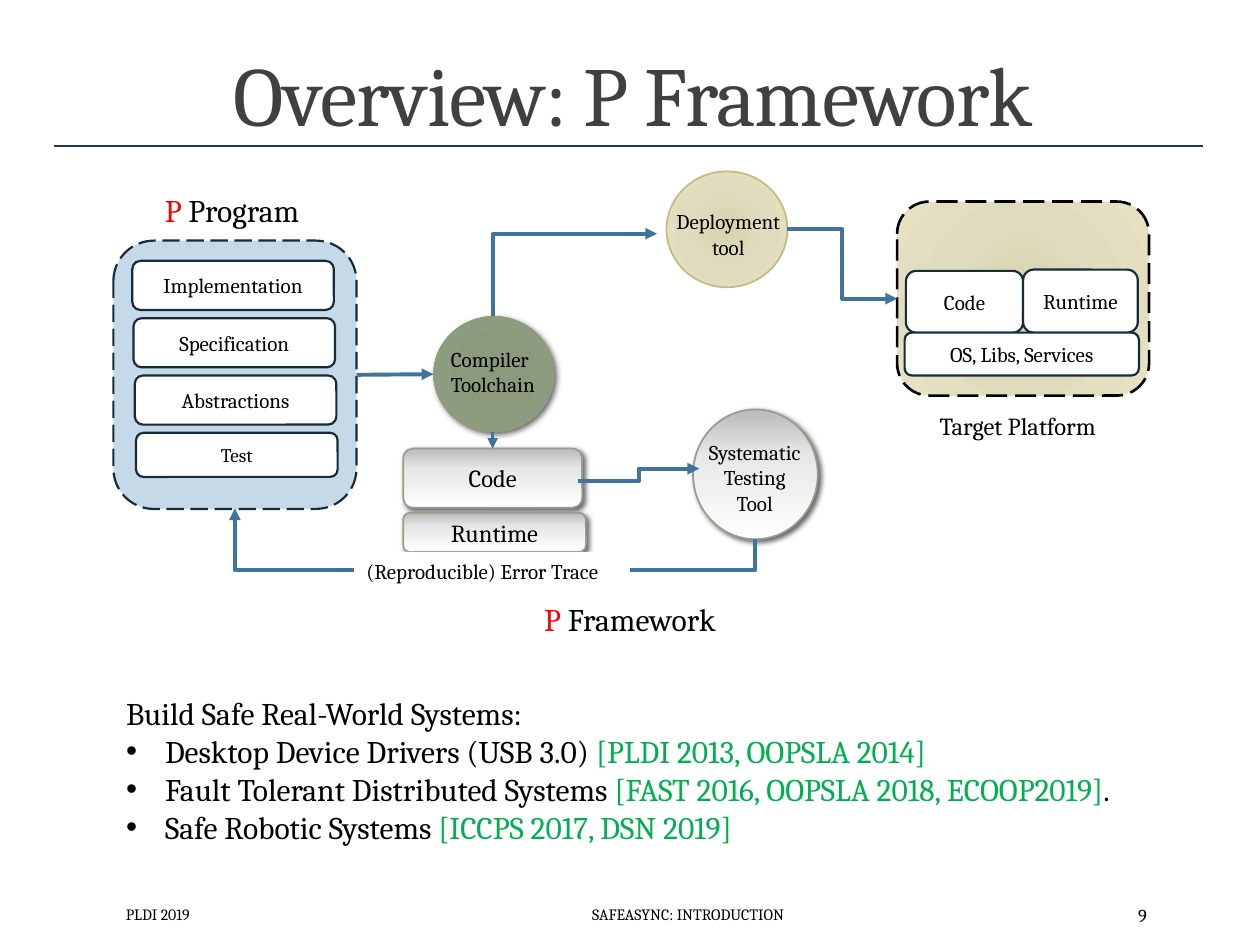
"""Build the P Framework overview slide."""
from lxml.etree import SubElement
from pptx import Presentation
from pptx.dml.color import RGBColor
from pptx.enum.dml import MSO_LINE
from pptx.enum.shapes import MSO_CONNECTOR as Connector, MSO_SHAPE as Preset
from pptx.enum.text import MSO_ANCHOR as Anchor, MSO_AUTO_SIZE as AutoSize, PP_ALIGN as Align
from pptx.oxml.ns import qn
from pptx.util import Inches, Pt

FONT = "Cambria"
COLORS = {
    "black": "000000", "white": "FFFFFF", "title": "404040", "rule": "1F394D",
    "red": "FF0000", "green": "00B050", "arrow": "40749B", "navy": "172B3A",
    "program": "C6D9E8", "sage": "94A088", "sand": "C2BC80",
}
GRADIENTS = {
    "olive": ((0, "8A987B"), (34, "8B997D"), (70, "8D9C7E"), (100, "94A187")),
    "tan": ((0, "D7D3AF"), (45, "DFDBBD"), (100, "E5E1C1")),
    "silver": ((0, "FEFEFE"), (65, "E7E7E7"), (100, "B9B9B9")),
}
STYLES = {
    "program": {"fill": "program", "line": "navy", "width": 1.25, "dashed": True},
    "card": {"fill": "white", "line": "navy", "width": 1.25},
    "compiler": {"fill": "olive", "shadow": 3.5},
    "deployment": {"fill": "tan", "line": "sand", "width": 1},
    "target": {"fill": "tan", "line": "black", "width": 1.5, "dashed": True},
    "silver": {"fill": "silver", "line": "sage", "width": 1, "shadow": 3},
}
PARTS = [("Implementation", 0.39, 12), ("Specification", 0.39, 12),
         ("Abstractions", 0.39, 12), ("Test", 0.35, 11)]
NODES = [
    ("program", Preset.ROUNDED_RECTANGLE, (0.9, 1.91, 1.93, 2.13), "program", "", 12),
    ("compiler", Preset.OVAL, (3.44, 2.51, 0.96, 0.92), "compiler", "", 12),
    ("deployment", Preset.OVAL, (5.29, 1.36, 0.96, 0.92), "deployment", "", 12),
    ("tester", Preset.OVAL, (5.5, 3.25, 0.99, 1.03), "silver", "", 12),
    ("target", Preset.ROUNDED_RECTANGLE, (7.12, 1.6, 2, 1.54), "target", "", 12),
    ("target code", Preset.ROUNDED_RECTANGLE, (7.19, 2.15, 0.93, 0.49), "card", "Code", 12),
    ("target runtime", Preset.ROUNDED_RECTANGLE, (8.12, 2.14, 0.91, 0.5), "card", "Runtime", 12),
    ("services", Preset.ROUNDED_RECTANGLE, (7.18, 2.64, 1.86, 0.34), "card",
     "OS, Libs, Services", 12),
    ("code", Preset.ROUNDED_RECTANGLE, (3.2, 3.56, 1.42, 0.47), "silver", "Code", 14),
    ("runtime", Preset.ROUNDED_RECTANGLE, (3.2, 4.07, 1.45, 0.31), "silver", "Runtime", 14),
]
NODES += [(name.lower(), Preset.ROUNDED_RECTANGLE,
           (1.05 + 0.01 * row, 2.07 + 0.455 * row, 1.6, height), "card", name, size)
          for row, (name, height, size) in enumerate(PARTS)]
ARROWS = [
    {"kind": Connector.STRAIGHT, "ends": (2.83, 2.97, 3.44, 2.97), "begin": ("program", 3)},
    {"kind": Connector.STRAIGHT, "ends": (3.91, 3.43, 3.91, 3.56), "end": ("code", 0),
     "width": 1.5},
    {"ends": (4.59, 3.82, 5.55, 3.72)},
    {"ends": (6.25, 1.82, 7.12, 2.37), "end": ("target", 1)},
    {"ends": (4.05, 2.09, 3.81, 6.22), "turned": True, "bend": -104600},
    {"ends": (4.89, 2.83, 4.24, 1.53), "turned": True, "preset": "bentConnector2"},
]
LABELS = [
    ((4.22, 4.71, 1.68, 0.4), Align.LEFT, 18, [[("P", "red"), (" Framework", "black")]]),
    ((1.21, 1.47, 1.34, 0.4), Align.LEFT, 18, [[("P", "red"), (" Program", "black")]]),
    ((3.48, 2.7, 0.91, 0.5), Align.LEFT, 12, [[("Compiler", "black")], [("Toolchain", "black")]]),
    ((5.48, 3.44, 1.02, 0.71), Align.CENTER, 12,
     [[("Systematic", "black")], [("Testing", "black")], [("Tool", "black")]]),
    ((5.22, 1.61, 1.12, 0.5), Align.CENTER, 12, [[("Deployment", "black")], [("tool", "black")]]),
    ((7.36, 3.21, 1.58, 0.34), Align.LEFT, 14, [[("Target Platform", "black")]]),
    ((2.81, 4.38, 2.19, 0.3), Align.LEFT, 12, [[("(Reproducible) Error Trace", "black")]]),
]
FOOTERS = [
    ((0.9, 7.06, 2.03, 0.4), Align.LEFT, 9, "PLDI 2019"),
    ((2.99, 7.06, 4.94, 0.4), Align.CENTER, 9, "SAFEASYNC: INTRODUCTION"),
    ((8.12, 7.06, 1.08, 0.4), Align.RIGHT, 10.5, "9"),
]
SYSTEMS = [
    [("Build Safe Real-World Systems:", "black")],
    [("Desktop Device Drivers (USB 3.0) ", "black"), ("[PLDI 2013, OOPSLA 2014]", "green")],
    [("Fault Tolerant Distributed Systems ", "black"),
     ("[FAST 2016, OOPSLA 2018, ECOOP2019]", "green"), (".", "black")],
    [("Safe Robotic Systems ", "black"), ("[ICCPS 2017, DSN 2019]", "green")],
]


def color(name):
    return RGBColor.from_string(COLORS[name])


def write(frame, lines, size, align, anchor=Anchor.TOP, wrap=True):
    frame.word_wrap, frame.vertical_anchor = wrap, anchor
    frame.auto_size = AutoSize.NONE
    for index, runs in enumerate(lines):
        paragraph = frame.add_paragraph() if index else frame.paragraphs[0]
        paragraph.alignment = align
        paragraph.space_before = Pt(0)
        for text, shade in runs:
            run = paragraph.add_run()
            run.text = text
            run.font.name, run.font.size = FONT, Pt(size)
            run.font.color.rgb = color(shade)


def place(shape, box):
    shape.left, shape.top, shape.width, shape.height = map(Inches, box)


def apply_gradient(shape, name):
    shape.fill.background()
    properties = shape.fill._xPr
    blank = properties.find(qn("a:noFill"))
    gradient = SubElement(properties, qn("a:gradFill"), rotWithShape="1")
    properties.replace(blank, gradient)
    stops = SubElement(gradient, qn("a:gsLst"))
    for position, value in GRADIENTS[name]:
        stop = SubElement(stops, qn("a:gs"), pos=str(position * 1000))
        SubElement(stop, qn("a:srgbClr"), val=value)
    if name == "silver":
        SubElement(gradient, qn("a:lin"), ang="16200000", scaled="0")
    else:
        circle = SubElement(gradient, qn("a:path"), path="circle")
        SubElement(circle, qn("a:fillToRect"), **dict.fromkeys("ltrb", "100000"))


def add_node(slide, preset, box, style, text, size):
    shape = slide.shapes.add_shape(preset, *map(Inches, box))
    look = STYLES[style]
    if look["fill"] in GRADIENTS:
        apply_gradient(shape, look["fill"])
    else:
        shape.fill.solid()
        shape.fill.fore_color.rgb = color(look["fill"])
    if "line" in look:
        shape.line.color.rgb, shape.line.width = color(look["line"]), Pt(look["width"])
        if look.get("dashed"):
            shape.line.dash_style = MSO_LINE.LONG_DASH
    else:
        shape.line.fill.background()
    shape.shadow.inherit = False
    if "shadow" in look:
        effects = shape._element.spPr.find(qn("a:effectLst"))
        shadow = SubElement(effects, qn("a:outerShdw"), blurRad=str(Pt(look["shadow"])),
                            dist=str(Pt(2)), dir="2700000", rotWithShape="0")
        tint = SubElement(shadow, qn("a:srgbClr"), val=COLORS["black"])
        SubElement(tint, qn("a:alpha"), val="60000")
    if text:
        write(shape.text_frame, [[(text, "black")]], size, Align.CENTER, Anchor.MIDDLE)
    return shape


def add_line(slide, kind, ends, shade, width):
    connector = slide.shapes.add_connector(kind, *map(Inches, ends))
    connector.line.color.rgb, connector.line.width = color(shade), Pt(width)
    SubElement(connector._element.spPr, qn("a:effectLst"))
    return connector


def add_arrow(slide, nodes, arrow):
    connector = add_line(slide, arrow.get("kind", Connector.ELBOW), arrow["ends"],
                         "arrow", arrow.get("width", 2.25))
    SubElement(connector.line._get_or_add_ln(), qn("a:tailEnd"), type="triangle")
    if "begin" in arrow:
        name, side = arrow["begin"]
        connector.begin_connect(nodes[name], side)
    if "end" in arrow:
        name, side = arrow["end"]
        connector.end_connect(nodes[name], side)
    properties = connector._element.spPr
    geometry = properties.find(qn("a:prstGeom"))
    if arrow.get("turned"):
        properties.find(qn("a:xfrm")).set("rot", "5400000")
    if "preset" in arrow:
        geometry.set("prst", arrow["preset"])
    if "bend" in arrow:
        SubElement(geometry.find(qn("a:avLst")), qn("a:gd"), name="adj1",
                   fmla=f"val {arrow['bend']}")


def add_label(slide, box, align, size, lines, anchor=Anchor.TOP, wrap=False):
    label = slide.shapes.add_textbox(*map(Inches, box))
    write(label.text_frame, lines, size, align, anchor, wrap)
    return label


def main():
    presentation = Presentation()
    presentation.slide_width, presentation.slide_height = Inches(10), Inches(7.5)
    slide = presentation.slides.add_slide(presentation.slide_layouts[1])
    title, body = slide.shapes.title, slide.placeholders[1]
    place(title, (0.9, 0.31, 8.25, 0.88))
    write(title.text_frame, [[("Overview: P Framework", "title")]], 48, Align.CENTER, Anchor.BOTTOM)
    heading = title.text_frame.paragraphs[0]
    heading.line_spacing = 0.85
    heading.runs[0].font._element.set("spc", "-50")
    place(body, (0.9, 5.46, 8.75, 1.31))
    write(body.text_frame, SYSTEMS, 18, Align.LEFT)
    for index, paragraph in enumerate(body.text_frame.paragraphs):
        properties = paragraph._p.get_or_add_pPr()
        indent = Inches(0.31) if index else 0
        properties.set("marL", str(indent))
        properties.set("indent", str(-indent))
        if index:
            SubElement(properties, qn("a:buFont"), typeface="Arial")
            SubElement(properties, qn("a:buChar"), char="•")
        else:
            SubElement(properties, qn("a:buNone"))
    add_line(slide, Connector.STRAIGHT, (0.43, 1.16, 9.55, 1.16), "rule", 1)
    nodes = {name: add_node(slide, *details) for name, *details in NODES}
    for arrow in ARROWS:
        add_arrow(slide, nodes, arrow)
    for label in LABELS:
        shape = add_label(slide, *label)
    shape.fill.solid()
    shape.fill.fore_color.rgb = color("white")
    for box, align, size, text in FOOTERS:
        add_label(slide, box, align, size, [[(text, "black")]], Anchor.MIDDLE, True)
    presentation.save("out.pptx")


if __name__ == "__main__":
    main()
